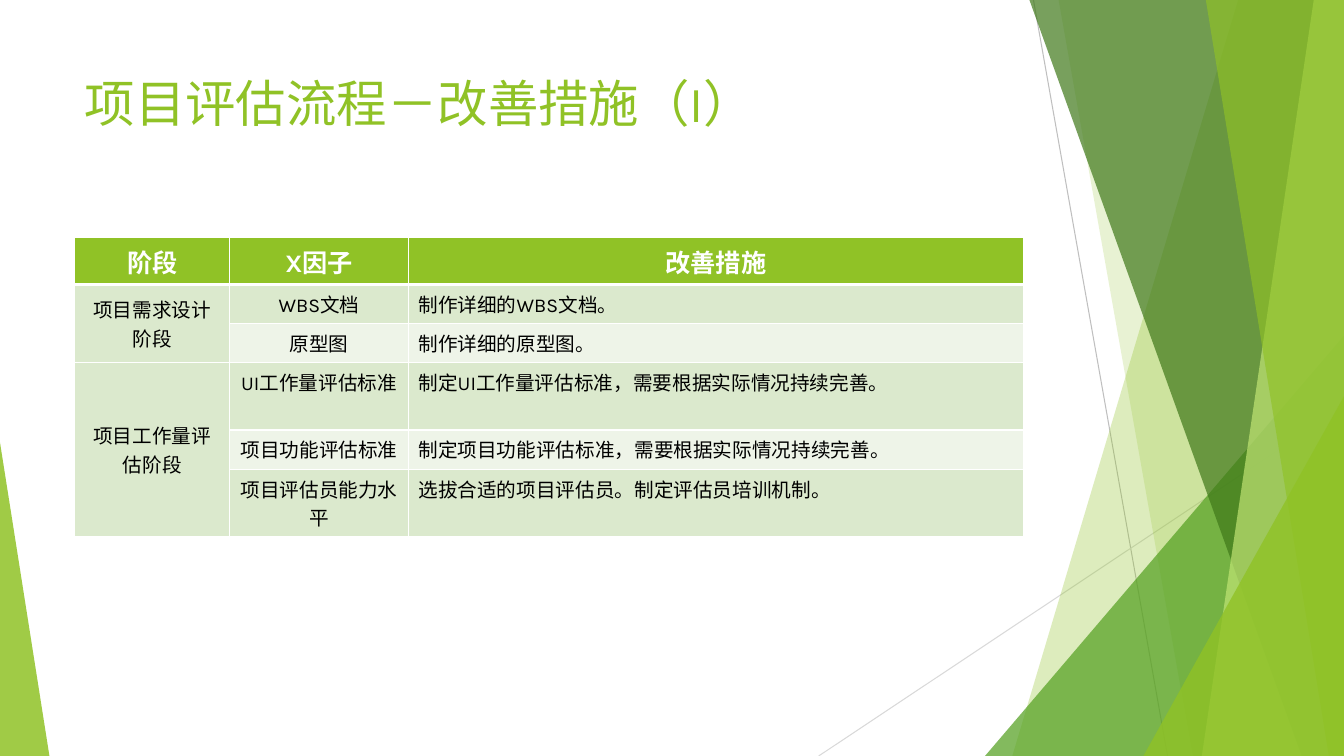
from dataclasses import dataclass

from lxml import etree
from pptx import Presentation
from pptx.dml.color import RGBColor
from pptx.enum import shapes, text
from pptx.oxml import ns
from pptx.util import Inches, Pt


@dataclass(frozen=True)
class Theme:
    font: str = "Karla"
    green: str = "90C226"
    leaf: str = "54A021"
    dark: str = "3F7819"
    lime: str = "C0E474"
    band: tuple = ("DBE9CD", "EEF4E8")
    white: str = "FFFFFF"
    black: str = "000000"
    title: int = 36
    head: int = 18
    body: int = 14


T = Theme()
HEAD = ["阶段", "X因子", "改善措施"]
STAGES = [
    ("项目需求设计阶段", [
        ("WBS文档", "制作详细的WBS文档。"),
        ("原型图", "制作详细的原型图。"),
    ]),
    ("项目工作量评估阶段", [
        ("UI工作量评估标准", "制定UI工作量评估标准，需要根据实际情况持续完善。"),
        ("项目功能评估标准", "制定项目功能评估标准，需要根据实际情况持续完善。"),
        ("项目评估员能力水平", "选拔合适的项目评估员。制定评估员培训机制。"),
    ]),
]
COLS = [1.54, 1.77, 6.1]
ROWS = [0.45, 0.38, 0.39, 0.67, 0.39, 0.66]


def rgb(code):
    return RGBColor.from_string(code)


def write(para, words, size, color, bold=False):
    run = para.add_run()
    run.text = words
    font = run.font
    font.name, font.size, font.bold = T.font, Pt(size), bold
    font.color.rgb = rgb(color)


def tint(shape, color, alpha):
    """Fill a shape with a see-through colour and drop its outline."""
    shape.shadow.inherit = False
    shape.fill.solid()
    shape.fill.fore_color.rgb = rgb(color)
    shape.line.fill.background()
    node = shape.element.xpath("./p:spPr/a:solidFill/a:srgbClr")[0]
    etree.SubElement(node, ns.qn("a:alpha"), val=str(alpha * 1000))


def draw_line(slide, start, end, color):
    line = slide.shapes.add_connector(
        shapes.MSO_CONNECTOR.STRAIGHT, *map(Inches, start + end))
    line.line.color.rgb = rgb(color)
    line.line.width = Pt(0.75)
    etree.SubElement(line.element.spPr, ns.qn("a:effectLst"))


def draw_panel(slide, box, top, foot, color, alpha):
    """Draw a full-height panel; top and foot are its widths at each end."""
    x, y, w, h = box
    right, low = x + w, y + h
    points = [(right - top, y), (right, y), (right, low), (right - foot, low)]
    points = [(Inches(a), Inches(b)) for a, b in points]
    build = slide.shapes.build_freeform(*points[0])
    build.add_line_segments(points[1:])
    tint(build.convert_to_shape(), color, alpha)


def draw_wedge(slide, box, wide, high, apex, color, alpha):
    """Draw a triangle in the lower right (apex 1) or left (apex 0) corner."""
    x, y, w, h = box
    shape = slide.shapes.add_shape(
        shapes.MSO_SHAPE.ISOSCELES_TRIANGLE, Inches(x + apex * (w - wide)),
        Inches(y + h - high), Inches(wide), Inches(high))
    shape.adjustments[0] = apex
    tint(shape, color, alpha)


def draw_art(slide, box):
    x, y, w, h = box
    right, low = x + w, y + h
    draw_line(slide, (right - 3.08, y), (right - 1.75, low), "BFBFBF")
    draw_line(slide, (right, y + 4.03), (right - 5.21, low), "D9D9D9")
    draw_panel(slide, box, 1.05, 3.29, T.green, 30)
    draw_panel(slide, box, 2.83, 1.5, T.green, 20)
    draw_wedge(slide, box, 3.56, 4.17, 1, T.leaf, 72)
    draw_panel(slide, box, 3.12, 0.42, T.dark, 70)
    draw_panel(slide, box, 0.3, 1.41, T.lime, 70)
    draw_panel(slide, box, 1.37, 0.15, T.green, 65)
    draw_wedge(slide, box, 1.99, 3.57, 1, T.green, 80)
    draw_wedge(slide, box, 0.49, 3.11, 0, T.green, 85)


def put_title(slide, box):
    title = slide.shapes.title
    title.left, title.top, title.width, title.height = map(Inches, box)
    frame = title.text_frame
    frame.word_wrap = True
    frame.auto_size = text.MSO_AUTO_SIZE.NONE
    frame.vertical_anchor = text.MSO_ANCHOR.TOP
    para = frame.paragraphs[0]
    para.alignment = text.PP_ALIGN.LEFT
    write(para, "项目评估流程－改善措施（I）", T.title, T.green)


def style_cell(cell, row, col):
    """Set white borders, with a thick rule under the header, and the fill."""
    props = cell._tc.get_or_add_tcPr()
    wide = {"T": 3 if row == 1 else 1, "B": 3 if row == 0 else 1}
    for side in "LRTB":
        line = etree.SubElement(
            props, ns.qn("a:ln" + side), w=str(Pt(wide.get(side, 1))))
        fill = etree.SubElement(line, ns.qn("a:solidFill"))
        etree.SubElement(fill, ns.qn("a:srgbClr"), val=T.white)
    if row == 0:
        color = T.green
    else:
        color = T.band[0 if col == 0 else (row - 1) % 2]
    cell.fill.solid()
    cell.fill.fore_color.rgb = rgb(color)


def fill_cell(grid, row, col, words):
    cell = grid.cell(row, col)
    para = cell.text_frame.paragraphs[0]
    left = row > 0 and col == 2
    para.alignment = text.PP_ALIGN.LEFT if left else text.PP_ALIGN.CENTER
    if row == 0:
        write(para, words, T.head, T.white, True)
    else:
        write(para, words, T.body, T.black)


def put_table(slide, box):
    grid = slide.shapes.add_table(
        len(ROWS), len(COLS), *map(Inches, box)).table
    for col, width in zip(grid.columns, COLS):
        col.width = Inches(width)
    for row, height in zip(grid.rows, ROWS):
        row.height = Inches(height)
    for row in range(len(ROWS)):
        for col in range(len(COLS)):
            style_cell(grid.cell(row, col), row, col)
    for col, words in enumerate(HEAD):
        fill_cell(grid, 0, col, words)
    row = 1
    for stage, items in STAGES:
        first = grid.cell(row, 0)
        first.merge(grid.cell(row + len(items) - 1, 0))
        first.vertical_anchor = text.MSO_ANCHOR.MIDDLE
        fill_cell(grid, row, 0, stage)
        for factor, action in items:
            fill_cell(grid, row, 1, factor)
            fill_cell(grid, row, 2, action)
            row += 1


def main():
    deck = Presentation()
    deck.slide_width, deck.slide_height = Inches(13.33), Inches(7.5)
    slide = deck.slides.add_slide(deck.slide_layouts[5])
    draw_art(slide, (0, 0, 13.33, 7.5))
    put_title(slide, (0.74, 0.67, 10.33, 1.44))
    put_table(slide, (0.74, 2.36, sum(COLS), sum(ROWS)))
    deck.save("out.pptx")


if __name__ == "__main__":
    main()
